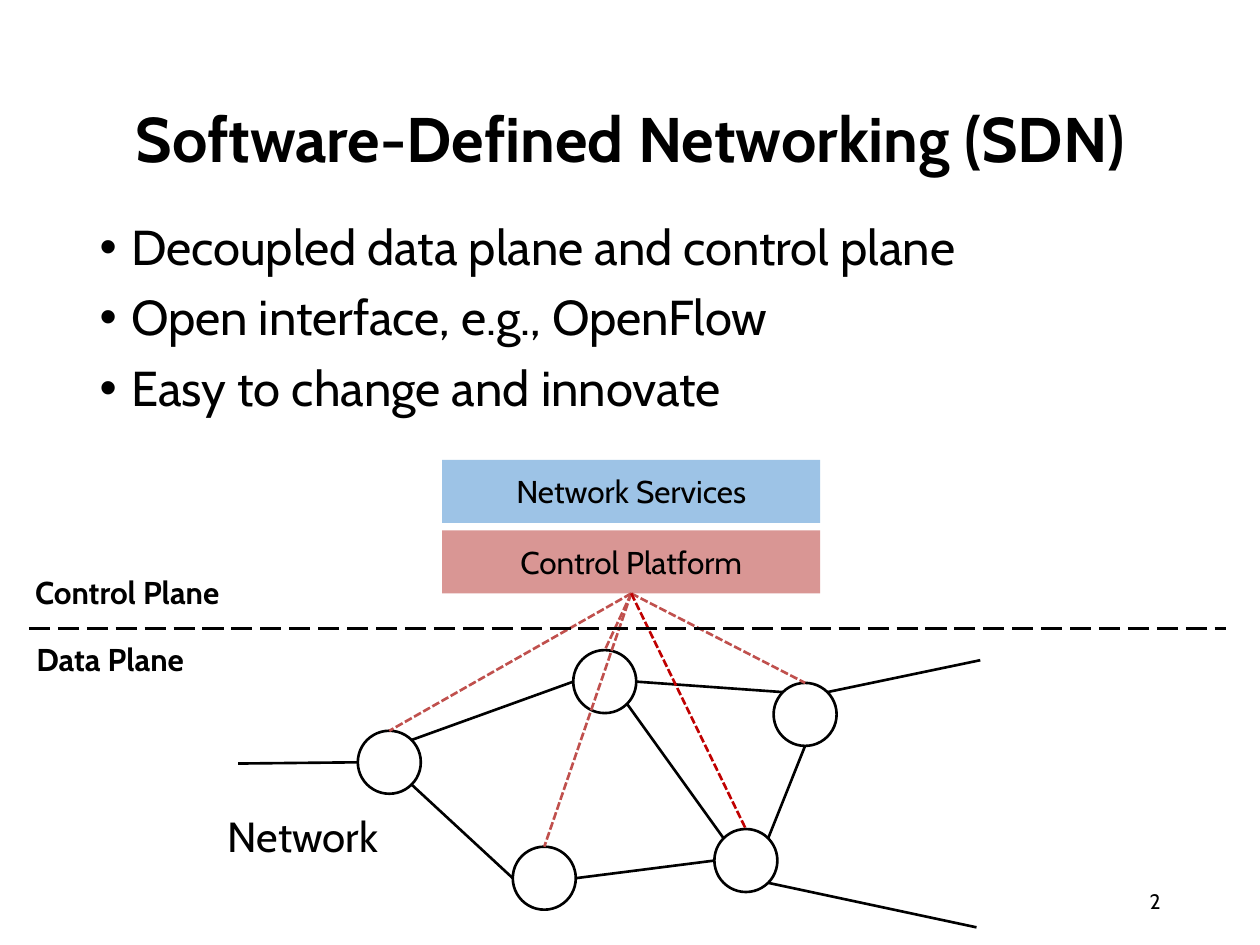
from dataclasses import dataclass
from math import cos, radians, sin
from typing import NamedTuple, Optional

from lxml.etree import SubElement
from pptx import Presentation
from pptx.dml.color import RGBColor
from pptx.enum.dml import MSO_LINE
from pptx.enum.shapes import MSO_CONNECTOR, MSO_SHAPE
from pptx.enum.text import MSO_ANCHOR, MSO_AUTO_SIZE, PP_ALIGN
from pptx.oxml.ns import qn
from pptx.util import Inches, Pt


@dataclass(frozen=True)
class Theme:
    font: str = "Cabin"
    ink: str = "000000"
    services: str = "9DC3E6"
    platform: str = "D99694"
    control: str = "C0504D"
    control_strong: str = "C00000"
    title: int = 36
    body: int = 28
    network: int = 24
    label: int = 18
    number: int = 12
    line: float = 1.5


class Point(NamedTuple):
    col: float
    row: float


class Box(NamedTuple):
    col: float
    row: float
    cols: float
    rows: float


class Label(NamedTuple):
    text: str
    box: Box
    size: int
    bold: bool = False
    wrap: bool = True
    align: PP_ALIGN = PP_ALIGN.LEFT
    anchor: MSO_ANCHOR = MSO_ANCHOR.TOP


class Layer(NamedTuple):
    text: str
    row: float
    fill: str


class Link(NamedTuple):
    start: Point
    end: Point


THEME = Theme()
COLS, ROWS = 100, 75  # square grid over the slide
WIDTH, HEIGHT = Inches(10), Inches(7.5)
NODE = 5  # switch diameter in grid units
ANGLES = {"E": 0, "NE": 45, "N": 90, "NW": 135, "W": 180, "SW": 225, "S": 270, "SE": 315}

BULLETS = [
    "Decoupled data plane and control plane",
    "Open interface, e.g., OpenFlow",
    "Easy to change and innovate",
]
SWITCHES = {
    "west": Point(28.4, 58),
    "north": Point(45.5, 51.6),
    "south": Point(40.7, 67.2),
    "east": Point(61.4, 54.2),
    "southeast": Point(56.7, 65.8),
}
LAYERS = [
    Layer("Network Services", 36.5, THEME.services),
    Layer("Control Platform", 42.1, THEME.platform),
]
LABELS = [
    Label("2", Box(70.6, 69.5, 22.5, 4), THEME.number,
          align=PP_ALIGN.RIGHT, anchor=MSO_ANCHOR.MIDDLE),
    Label("Network", Box(17.1, 63.8, 14.2, 5), THEME.network, wrap=False),
    Label("Control Plane", Box(1.8, 45, 19.7, 4), THEME.label, bold=True),
    Label("Data Plane", Box(1.9, 50.3, 19.7, 4), THEME.label, bold=True),
]


def x(col: float) -> int:
    return round(WIDTH * col / COLS)


def y(row: float) -> int:
    return round(HEIGHT * row / ROWS)


def frame(box: Box) -> tuple:
    return x(box.col), y(box.row), x(box.cols), y(box.rows)


def place(shape, box: Box) -> None:
    shape.left, shape.top, shape.width, shape.height = frame(box)


def rim(name: str, side: str) -> Point:
    """Point on a switch's outline in a compass direction."""
    corner, angle, radius = SWITCHES[name], radians(ANGLES[side]), NODE / 2
    return Point(corner.col + radius * (1 + cos(angle)),
                 corner.row + radius * (1 - sin(angle)))


def add_run(p, text: str, size: int, bold: bool = False) -> None:
    r = p.add_run()
    r.text = text
    r.font.name, r.font.size, r.font.bold = THEME.font, Pt(size), bold
    r.font.color.rgb = RGBColor.from_string(THEME.ink)


def add_label(s, label: Label) -> None:
    tf = s.shapes.add_textbox(*frame(label.box)).text_frame
    tf.word_wrap, tf.vertical_anchor = label.wrap, label.anchor
    p = tf.paragraphs[0]
    p.alignment = label.align
    add_run(p, label.text, label.size, label.bold)


def add_line(s, link: Link, color: str = THEME.ink, dash: Optional[MSO_LINE] = None):
    start, end = link
    c = s.shapes.add_connector(MSO_CONNECTOR.STRAIGHT,
                               x(start.col), y(start.row), x(end.col), y(end.row))
    c.line.color.rgb = RGBColor.from_string(color)
    c.line.width = Pt(THEME.line)
    if dash is not None:
        c.line.dash_style = dash
    SubElement(c._element.spPr, qn("a:effectLst"))
    return c


def add_switch(s, corner: Point):
    sp = s.shapes.add_shape(MSO_SHAPE.OVAL, *frame(Box(*corner, NODE, NODE)))
    sp.shadow.inherit = False
    sp.fill.background()
    sp.line.color.rgb = RGBColor.from_string(THEME.ink)
    sp.line.width = Pt(THEME.line)
    return sp


def add_layer(s, layer: Layer):
    sp = s.shapes.add_shape(MSO_SHAPE.RECTANGLE, *frame(Box(35.1, layer.row, 30, 5)))
    sp.shadow.inherit = False
    sp.fill.solid()
    sp.fill.fore_color.rgb = RGBColor.from_string(layer.fill)
    sp.line.fill.background()
    sp.text_frame.vertical_anchor = MSO_ANCHOR.MIDDLE
    p = sp.text_frame.paragraphs[0]
    p.alignment = PP_ALIGN.CENTER
    add_run(p, layer.text, THEME.label)
    return sp


def add_heading(s) -> None:
    title, body = s.shapes.title, s.placeholders[1]
    place(title, Box(6.9, 4, 86.2, 14.5))
    title.text_frame.vertical_anchor = MSO_ANCHOR.MIDDLE
    p = title.text_frame.paragraphs[0]
    p.alignment, p.line_spacing = PP_ALIGN.CENTER, 0.9
    add_run(p, "Software-Defined Networking (SDN)", THEME.title, bold=True)

    place(body, Box(6.9, 17.2, 86.2, 47.6))
    tf = body.text_frame
    tf.auto_size = MSO_AUTO_SIZE.NONE
    for i, text in enumerate(BULLETS):
        p = tf.add_paragraph() if i else tf.paragraphs[0]
        p.line_spacing, p.space_before = 0.9, Pt(10 if i else 0)
        pPr = p._p.get_or_add_pPr()
        pPr.set("marL", str(Inches(0.25)))
        pPr.set("indent", str(-Inches(0.25)))
        SubElement(pPr, qn("a:buFont")).set("typeface", "Arial")
        SubElement(pPr, qn("a:buChar")).set("char", "•")
        add_run(p, text, THEME.body)


def main() -> None:
    prs = Presentation()
    prs.slide_width, prs.slide_height = WIDTH, HEIGHT
    s = prs.slides.add_slide(prs.slide_layouts[1])
    add_heading(s)

    # Data plane: switches and the links between them
    switches = {name: add_switch(s, corner) for name, corner in SWITCHES.items()}
    for link in [
        Link(rim("south", "W"), rim("west", "SE")),
        Link(rim("southeast", "W"), rim("south", "E")),
        Link(rim("west", "W"), Point(18.9, 60.6)),
        Link(rim("east", "S"), rim("southeast", "NE")),
        Link(Point(77.8, 52.4), rim("east", "NE")),
        Link(Point(77.5, 73.6), rim("southeast", "SE")),
        Link(rim("north", "W"), rim("west", "NE")),
        Link(rim("east", "NW"), rim("north", "E")),
        Link(rim("north", "SE"), rim("southeast", "NW")),
    ]:
        add_line(s, link)

    # Control plane: layers, with the platform joined to every switch
    _, platform = [add_layer(s, layer) for layer in LAYERS]
    hub = Point(50.1, 47.1)
    for name, switch in switches.items():
        color = THEME.control_strong if name == "southeast" else THEME.control
        c = add_line(s, Link(hub, rim(name, "N")), color, MSO_LINE.SQUARE_DOT)
        c.begin_connect(platform, 2)
        c.end_connect(switch, 0)

    # Boundary between the planes, and labels
    add_line(s, Link(Point(2.3, 49.9), Point(97.3, 49.9)), dash=MSO_LINE.LONG_DASH)
    for label in LABELS:
        add_label(s, label)
    prs.save("out.pptx")


if __name__ == "__main__":
    main()
